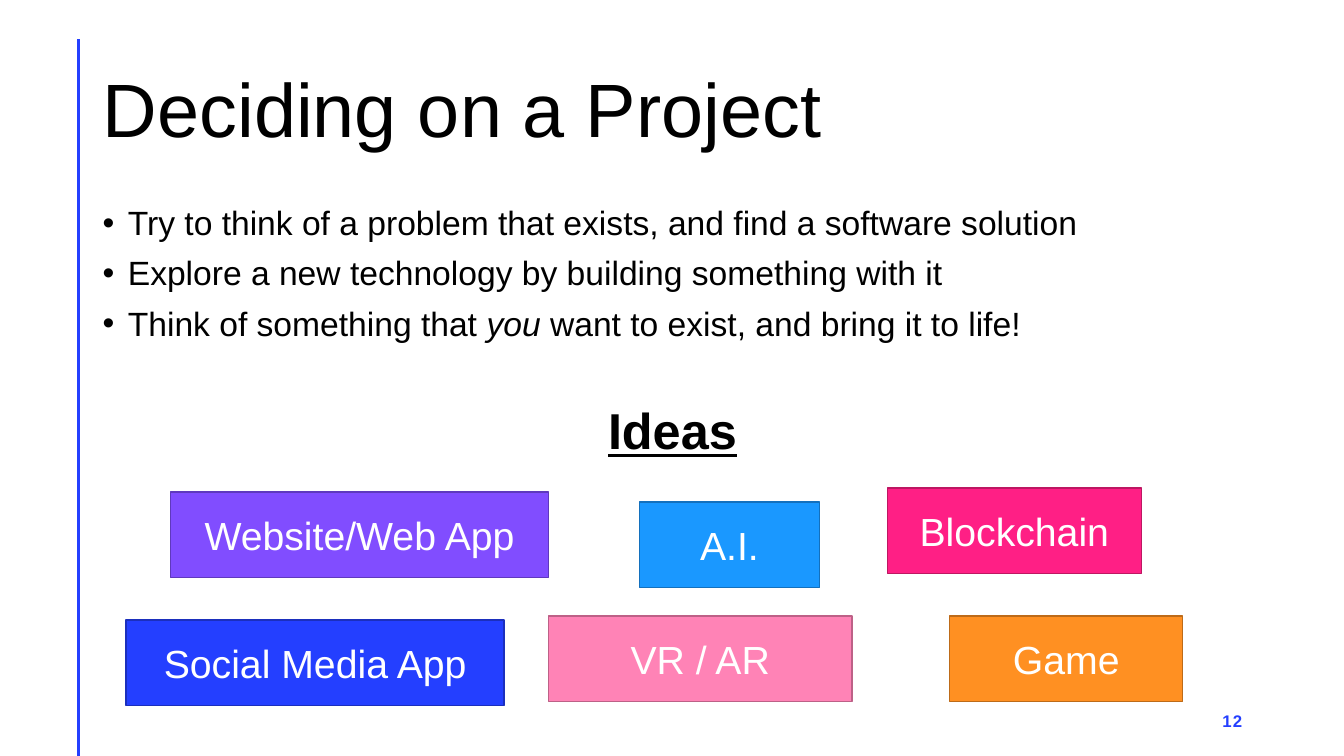
from lxml import etree
from pptx import Presentation
from pptx import util as u
from pptx.dml.color import RGBColor
from pptx.enum import shapes, text
from pptx.oxml.ns import qn

PX = 9144  # 100 px to the inch
FONT = "Arial"
BLACK = RGBColor(0x00, 0x00, 0x00)
WHITE = RGBColor(0xFF, 0xFF, 0xFF)
BLUE = RGBColor(0x24, 0x3F, 0xFF)
PURPLE = RGBColor(0x81, 0x4D, 0xFF)
SKY = RGBColor(0x1A, 0x98, 0xFF)
MAGENTA = RGBColor(0xFF, 0x1F, 0x85)
PINK = RGBColor(0xFF, 0x83, 0xB6)
ORANGE = RGBColor(0xFF, 0x90, 0x22)

IDEA_HEIGHT = 85
IDEAS = [  # label, left, top, width, colour
    ("Website/Web App", 169, 488, 375, PURPLE),
    ("Social Media App", 125, 615, 375, BLUE),
    ("VR / AR", 544, 611, 301, PINK),
    ("Game", 942, 611, 231, ORANGE),
    ("Blockchain", 880, 484, 252, MAGENTA),
    ("A.I.", 634, 498, 179, SKY),
]
ADVICE = [  # each point as (words, italic) pieces
    [("Try to think of a problem that exists, and find a software solution", False)],
    [("Explore a new technology by building something with it", False)],
    [("Think of something that ", False), ("you", True),
     (" want to exist, and bring it to life!", False)],
]


def px(*lengths):
    return [u.Emu(length * PX) for length in lengths]


def darker(colour):
    return RGBColor(*(round(channel * 0.74) for channel in colour))


class SlideBuilder:
    def __init__(self, presentation):
        self.slide = presentation.slides.add_slide(presentation.slide_layouts[5])

    def style(self, item, size, colour=BLACK, bold=False, italic=False):
        """Format the font of a run or of a whole paragraph."""
        font = item.font
        font.name, font.size, font.bold, font.italic = FONT, u.Pt(size), bold, italic
        font.color.rgb = colour

    def title(self, words, left, top, width, height):
        title = self.slide.shapes.title
        title.left, title.top, title.width, title.height = px(left, top, width, height)
        frame = title.text_frame
        frame.text = words
        frame.vertical_anchor = text.MSO_ANCHOR.MIDDLE
        paragraph = frame.paragraphs[0]
        paragraph.alignment = text.PP_ALIGN.LEFT
        paragraph.line_spacing = 0.9
        self.style(paragraph.runs[0], 54)

    def text_box(self, *box):
        frame = self.slide.shapes.add_textbox(*px(*box)).text_frame
        frame.word_wrap = True
        return frame

    def bullet(self, paragraph):
        properties = paragraph._p.get_or_add_pPr()
        indent = 25 * PX
        properties.set("marL", str(indent))
        properties.set("indent", str(-indent))
        etree.SubElement(properties, qn("a:buFont")).set("typeface", FONT)
        etree.SubElement(properties, qn("a:buChar")).set("char", "•")

    def advice(self, points, heading, *box):
        """Bulleted points, closed by a centred heading."""
        frame = self.text_box(*box)
        for number, pieces in enumerate(points):
            paragraph = frame.add_paragraph() if number else frame.paragraphs[0]
            self.bullet(paragraph)
            paragraph.line_spacing = 0.9
            paragraph.space_before = u.Pt(10 if number else 0)
            for words, italic in pieces:
                run = paragraph.add_run()
                run.text = words
                self.style(run, 24, italic=italic)
        paragraph = frame.add_paragraph()
        paragraph.text = heading
        paragraph.alignment = text.PP_ALIGN.CENTER
        paragraph.line_spacing = 0.9
        paragraph.space_before = u.Pt(45)
        self.style(paragraph.runs[0], 36, bold=True)
        paragraph.runs[0].font.underline = True

    def idea(self, label, left, top, width, colour):
        shape = self.slide.shapes.add_shape(
            shapes.MSO_SHAPE.RECTANGLE, *px(left, top, width, IDEA_HEIGHT))
        shape.shadow.inherit = False
        shape.fill.solid()
        shape.fill.fore_color.rgb = colour
        shape.line.color.rgb = darker(colour)
        shape.line.width = u.Pt(1)
        frame = shape.text_frame
        frame.text = label
        frame.vertical_anchor = text.MSO_ANCHOR.MIDDLE
        frame.paragraphs[0].alignment = text.PP_ALIGN.CENTER
        self.style(frame.paragraphs[0].runs[0], 28, WHITE)

    def rule(self, *ends):
        line = self.slide.shapes.add_connector(shapes.MSO_CONNECTOR.STRAIGHT, *px(*ends))
        line.line.color.rgb = BLUE
        line.line.width = u.Pt(2)
        etree.SubElement(line._element.spPr, qn("a:effectLst"))

    def page_number(self, number, *box):
        frame = self.text_box(*box)
        frame.text = number
        frame.vertical_anchor = text.MSO_ANCHOR.MIDDLE
        paragraph = frame.paragraphs[0]
        paragraph.alignment = text.PP_ALIGN.RIGHT
        run = paragraph.runs[0]
        self.style(run, 12, BLUE, bold=True)
        run._r.get_or_add_rPr().set("spc", "100")


def main():
    presentation = Presentation()
    presentation.slide_width, presentation.slide_height = px(1333, 750)
    builder = SlideBuilder(presentation)
    builder.rule(78, 39, 78, 750)
    builder.title("Deciding on a Project", 92, 40, 1150, 145)
    builder.page_number("12", 942, 695, 300, 40)
    builder.advice(ADVICE, "Ideas", 92, 200, 1150, 297)
    for idea in IDEAS:
        builder.idea(*idea)
    presentation.save("out.pptx")


if __name__ == "__main__":
    main()
